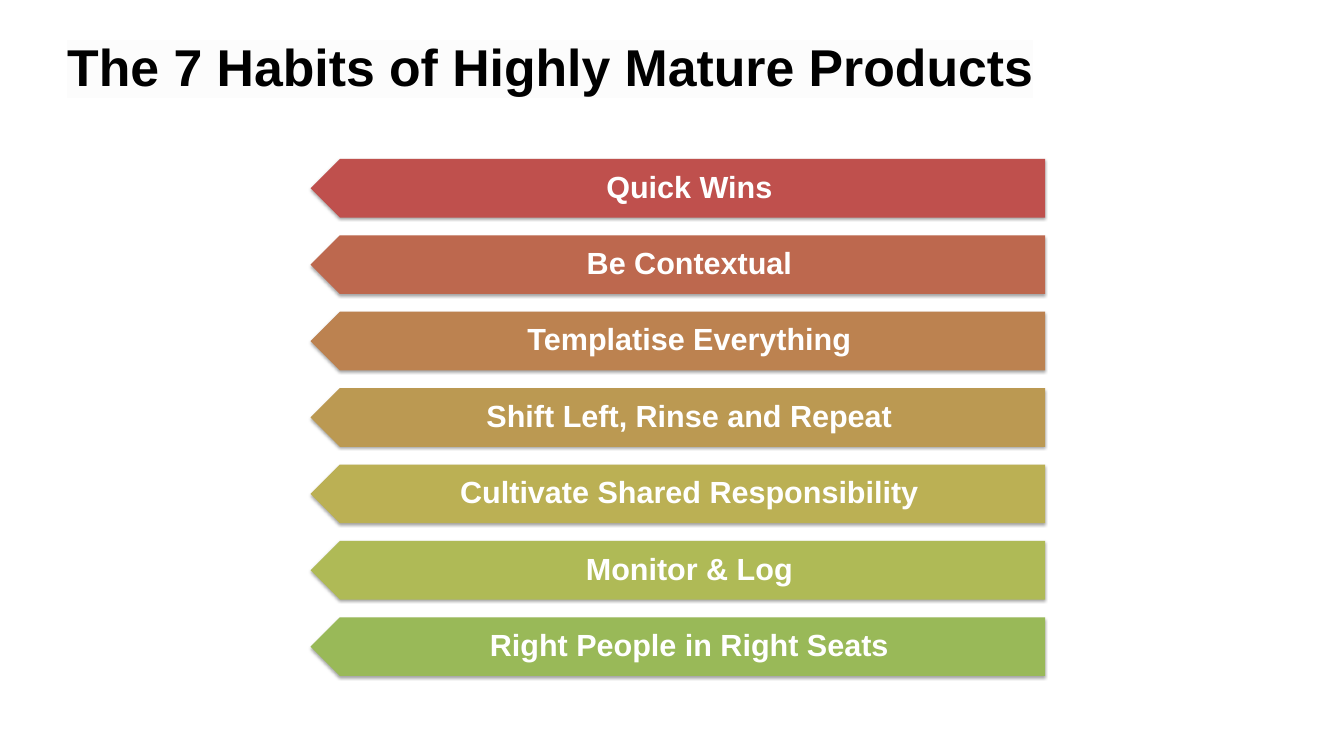
from lxml import etree
from pptx import Presentation
from pptx.dml.color import RGBColor
from pptx.enum.shapes import MSO_SHAPE
from pptx.enum.text import MSO_ANCHOR, MSO_AUTO_SIZE, PP_ALIGN
from pptx.oxml import parse_xml
from pptx.oxml.ns import nsdecls, qn
from pptx.util import Pt

HABITS = [
    ("Quick Wins", "BF504D"),
    ("Be Contextual", "BD684E"),
    ("Templatise Everything", "BC8250"),
    ("Shift Left, Rinse and Repeat", "BB9952"),
    ("Cultivate Shared Responsibility", "BBB054"),
    ("Monitor & Log", "AFBA56"),
    ("Right People in Right Seats", "99B958"),
]
ARROW_LEFT, ARROW_WIDTH, ARROW_HEIGHT = 365.8, 865.4, 69.1
LABEL_INDENT = 17.3
FIRST_TOP, PITCH = 187.2, 90


def color(value):
    return RGBColor.from_string(value)


def set_margins(frame, left, top, right, bottom):
    frame.margin_left, frame.margin_top = Pt(left), Pt(top)
    frame.margin_right, frame.margin_bottom = Pt(right), Pt(bottom)


def format_text(paragraph, size, text_color, align):
    paragraph.alignment = align
    for run in paragraph.runs:
        run.font.name = "Arial"
        run.font.size = Pt(size)
        run.font.bold = True
        run.font.color.rgb = color(text_color)


def add_highlight(run, value):
    properties = run.font._element if hasattr(run.font, "_element") else run._r.get_or_add_rPr()
    highlight = parse_xml(f'<a:highlight {nsdecls("a")}><a:srgbClr val="{value}"/></a:highlight>')
    properties.find(qn("a:latin")).addprevious(highlight)


def add_shadow(shape):
    shape.shadow.inherit = False
    effects = shape._element.spPr.find(qn("a:effectLst"))
    shadow = etree.SubElement(
        effects, qn("a:outerShdw"), blurRad=str(Pt(3.1)), dist=str(Pt(1.8)),
        dir="5400000", rotWithShape="0")
    shade = etree.SubElement(shadow, qn("a:srgbClr"), val="000000")
    etree.SubElement(shade, qn("a:alpha"), val="34000")


def set_title(slide, text):
    title = slide.shapes.title
    title.left, title.top, title.width, title.height = Pt(79.2), Pt(41), Pt(1404), Pt(146.2)
    frame = title.text_frame
    frame.text = text
    frame.auto_size = MSO_AUTO_SIZE.NONE
    frame.vertical_anchor = MSO_ANCHOR.TOP
    set_margins(frame, 0, 0, 0, 0)
    format_text(frame.paragraphs[0], 61, "000000", PP_ALIGN.LEFT)
    add_highlight(frame.paragraphs[0].runs[0], "FCFCFC")


def add_arrow(shapes, top, fill):
    arrow = shapes.add_shape(
        MSO_SHAPE.PENTAGON, Pt(ARROW_LEFT), Pt(top), Pt(ARROW_WIDTH), Pt(ARROW_HEIGHT))
    arrow.rotation = 180
    arrow.adjustments[0] = 0.5
    arrow.fill.solid()
    arrow.fill.fore_color.rgb = color(fill)
    arrow.line.fill.background()
    add_shadow(arrow)


def add_label(shapes, top, text):
    label = shapes.add_textbox(
        Pt(ARROW_LEFT + LABEL_INDENT), Pt(top), Pt(ARROW_WIDTH - LABEL_INDENT), Pt(ARROW_HEIGHT))
    frame = label.text_frame
    frame.word_wrap = True
    frame.vertical_anchor = MSO_ANCHOR.MIDDLE
    set_margins(frame, 30.2, 10.8, 20.2, 10.8)
    frame.text = text
    frame.paragraphs[0].line_spacing = 0.9
    format_text(frame.paragraphs[0], 36, "FFFFFF", PP_ALIGN.CENTER)


def main():
    presentation = Presentation()
    presentation.slide_width, presentation.slide_height = Pt(1583.3), Pt(890.6)
    slide = presentation.slides.add_slide(presentation.slide_layouts[5])
    set_title(slide, "The 7 Habits of Highly Mature Products")
    habit_list = slide.shapes.add_group_shape()
    for index, (habit, fill) in enumerate(HABITS):
        top = FIRST_TOP + index * PITCH
        add_arrow(habit_list.shapes, top, fill)
        add_label(habit_list.shapes, top, habit)
    presentation.save("out.pptx")


if __name__ == "__main__":
    main()
